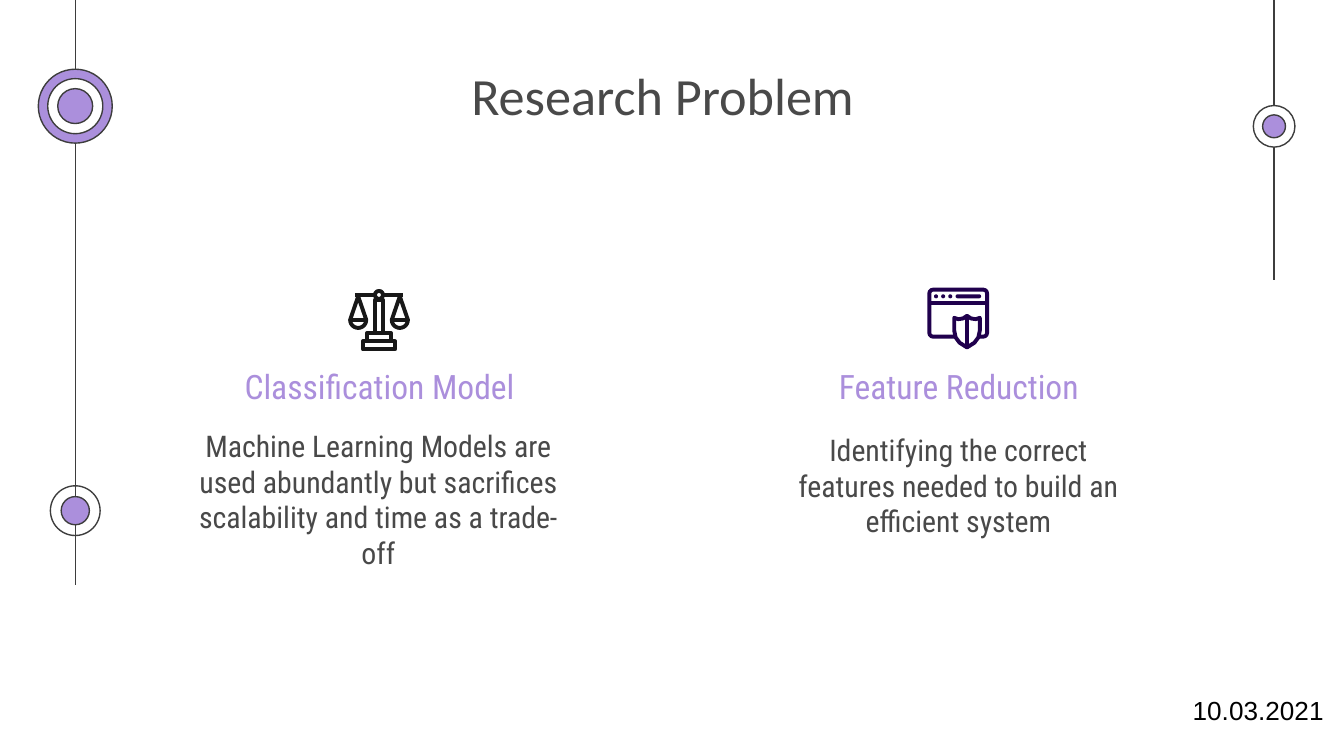
import math
from dataclasses import dataclass
from lxml import etree
from pptx import Presentation
from pptx.dml.color import RGBColor
from pptx.enum.shapes import MSO_CONNECTOR, MSO_SHAPE
from pptx.enum.text import MSO_ANCHOR, PP_ALIGN
from pptx.oxml.ns import qn
from pptx.util import Inches, Pt

OVAL, RECT, ROUNDED = MSO_SHAPE.OVAL, MSO_SHAPE.RECTANGLE, MSO_SHAPE.ROUNDED_RECTANGLE
STRAIGHT = MSO_CONNECTOR.STRAIGHT
TOP = MSO_ANCHOR.TOP
CENTER, RIGHT = PP_ALIGN.CENTER, PP_ALIGN.RIGHT
U = 0.01  # icon grid unit, in inches


@dataclass(frozen=True)
class Theme:
    rail: str = "3D3D3D"
    accent: str = "AB8FDC"
    text: str = "494949"
    date: str = "000000"
    paper: str = "FFFFFF"
    scales: str = "181818"
    browser: str = "20004D"
    title_font: str = "Calibri"
    body_font: str = "Roboto Condensed"
    date_font: str = "Arial"
    title_size: float = 28
    heading_size: float = 18
    body_size: float = 16
    date_size: float = 14
    rail_width: float = 0.75
    icon_width: float = 2.1


THEME = Theme()


def style(shape, fill=None, line=None, width=THEME.icon_width):
    shape.shadow.inherit = False
    if fill:
        shape.fill.solid()
        shape.fill.fore_color.rgb = RGBColor.from_string(fill)
    else:
        shape.fill.background()
    if line:
        shape.line.color.rgb = RGBColor.from_string(line)
        shape.line.width = Pt(width)
    else:
        shape.line.fill.background()
    return shape


def add_preset(slide, preset, x, y, w, h, **look):
    shape = slide.shapes.add_shape(preset, Inches(x), Inches(y), Inches(w), Inches(h))
    return style(shape, **look)


def add_circle(slide, x, y, diameter, **look):
    return add_preset(slide, OVAL, x - diameter / 2, y - diameter / 2,
                      diameter, diameter, **look)


def add_outline(slide, points, **look):
    points = [(Inches(x), Inches(y)) for x, y in points]
    builder = slide.shapes.build_freeform(*points[0])
    builder.add_line_segments(points[1:], close=True)
    return style(builder.convert_to_shape(), **look)


def add_line(slide, x1, y1, x2, y2, color, width=THEME.icon_width):
    line = slide.shapes.add_connector(STRAIGHT, Inches(x1), Inches(y1),
                                      Inches(x2), Inches(y2))
    line.line.color.rgb = RGBColor.from_string(color)
    line.line.width = Pt(width)
    etree.SubElement(line._element.spPr, qn("a:effectLst"))


def add_text(slide, text, box, *, size, font, color, align=CENTER,
             insets=(0.1, 0.1, 0.1, 0.1)):
    frame = slide.shapes.add_textbox(*map(Inches, box)).text_frame
    frame.word_wrap = True
    frame.vertical_anchor = TOP
    (frame.margin_left, frame.margin_top,
     frame.margin_right, frame.margin_bottom) = map(Inches, insets)
    paragraph = frame.paragraphs[0]
    paragraph.alignment = align
    run = paragraph.add_run()
    run.text = text
    run.font.size = Pt(size)
    run.font.name = font
    run.font.color.rgb = RGBColor.from_string(color)


def add_rail(slide, x, length, targets):
    """Vertical rail from the top edge; targets are (centre y, rings outside in)."""
    add_line(slide, x, 0, x, length, THEME.rail, THEME.rail_width)
    for y, rings in targets:
        for diameter, fill in rings:
            add_circle(slide, x, y, diameter, fill=fill,
                       line=THEME.rail, width=THEME.rail_width)


def add_scales_icon(slide, left, top):
    color = THEME.scales
    middle, beam = left + 23 * U, top + 4.5 * U
    add_line(slide, middle - 18 * U, beam, middle + 18 * U, beam, color)
    add_circle(slide, middle, beam, 6 * U, fill=THEME.paper, line=color)
    # Pillar and plinths
    for y, w, h in ((8, 6, 25), (33, 18, 6), (39, 24, 6)):
        add_preset(slide, RECT, middle - w / 2 * U, top + y * U, w * U, h * U, line=color)
    # Hanging pans
    radius, rim = 6 * U, top + 23 * U
    for pan in (middle - 15.5 * U, middle + 15.5 * U):
        bowl = [(pan + radius * math.cos(math.radians(a)),
                 rim + radius * math.sin(math.radians(a))) for a in range(0, 181, 15)]
        add_outline(slide, [(pan, beam + U)] + bowl, line=color)
        add_line(slide, pan - radius, rim, pan + radius, rim, color)


def add_browser_icon(slide, left, top):
    color = THEME.browser
    # Window with its toolbar
    edge, divider = left + 1.5 * U, top + 11.5 * U
    window = add_preset(slide, ROUNDED, edge, top + 1.5 * U, 43 * U, 35 * U, line=color)
    window.adjustments[0] = 0.08
    add_line(slide, edge, divider, edge + 43 * U, divider, color)
    for i in range(3):
        add_circle(slide, left + (6.5 + i * 5.3) * U, top + 6.5 * U, 3 * U, fill=color)
    address = add_preset(slide, ROUNDED, left + 21 * U, top + 5 * U, 19 * U, 3 * U,
                         fill=color)
    address.adjustments[0] = 0.5
    # Shield
    middle = left + 29.5 * U
    half = [(0, 21), (3, 23), (6.5, 23.5), (9.5, 22.5), (9.5, 32),
            (8.5, 37), (5.5, 41), (0, 44.5)]
    sides = half + [(-x, y) for x, y in half[-2:0:-1]]
    add_outline(slide, [(middle + x * U, top + y * U) for x, y in sides],
                fill=THEME.paper, line=color)
    add_line(slide, middle, top + 21 * U, middle, top + 44.5 * U, color)


def add_topic(slide, draw_icon, icon_at, heading, heading_box, body, body_box):
    draw_icon(slide, *icon_at)
    add_text(slide, heading, heading_box, size=THEME.heading_size,
             font=THEME.body_font, color=THEME.accent)
    add_text(slide, body, body_box, size=THEME.body_size,
             font=THEME.body_font, color=THEME.text)


def main():
    deck = Presentation()
    deck.slide_width = Inches(10)
    deck.slide_height = Inches(10) * 9 // 16
    slide = deck.slides.add_slide(deck.slide_layouts[6])

    # Side rails
    add_rail(slide, 0.56, 4.35, [
        (0.79, [(0.55, THEME.accent), (0.41, THEME.paper), (0.26, THEME.accent)]),
        (3.8, [(0.37, None), (0.21, THEME.accent)]),
    ])
    add_rail(slide, 9.48, 2.08, [(0.94, [(0.31, THEME.paper), (0.17, THEME.accent)])])

    # Title
    add_text(slide, "Research Problem", (1.88, 0.37, 6.1, 0.65), size=THEME.title_size,
             font=THEME.title_font, color=THEME.text)

    # Topics
    add_topic(slide, add_scales_icon, (2.59, 2.15),
              "Classification Model", (1.64, 2.62, 2.37, 0.36),
              "Machine Learning Models are used abundantly but sacrifices "
              "scalability and time as a trade-off", (1.32, 3.08, 2.99, 1.22))
    add_topic(slide, add_browser_icon, (6.9, 2.14),
              "Feature Reduction", (5.9, 2.62, 2.47, 0.36),
              "Identifying the correct features needed to build an efficient system",
              (5.69, 3.11, 2.88, 1.18))

    # Date
    add_text(slide, "10.03.2021", (0.02, 5.12, 10, 0.34), size=THEME.date_size,
             font=THEME.date_font, color=THEME.date, align=RIGHT,
             insets=(0.1, 0.05, 0.17, 0.05))

    deck.save("out.pptx")


if __name__ == "__main__":
    main()
